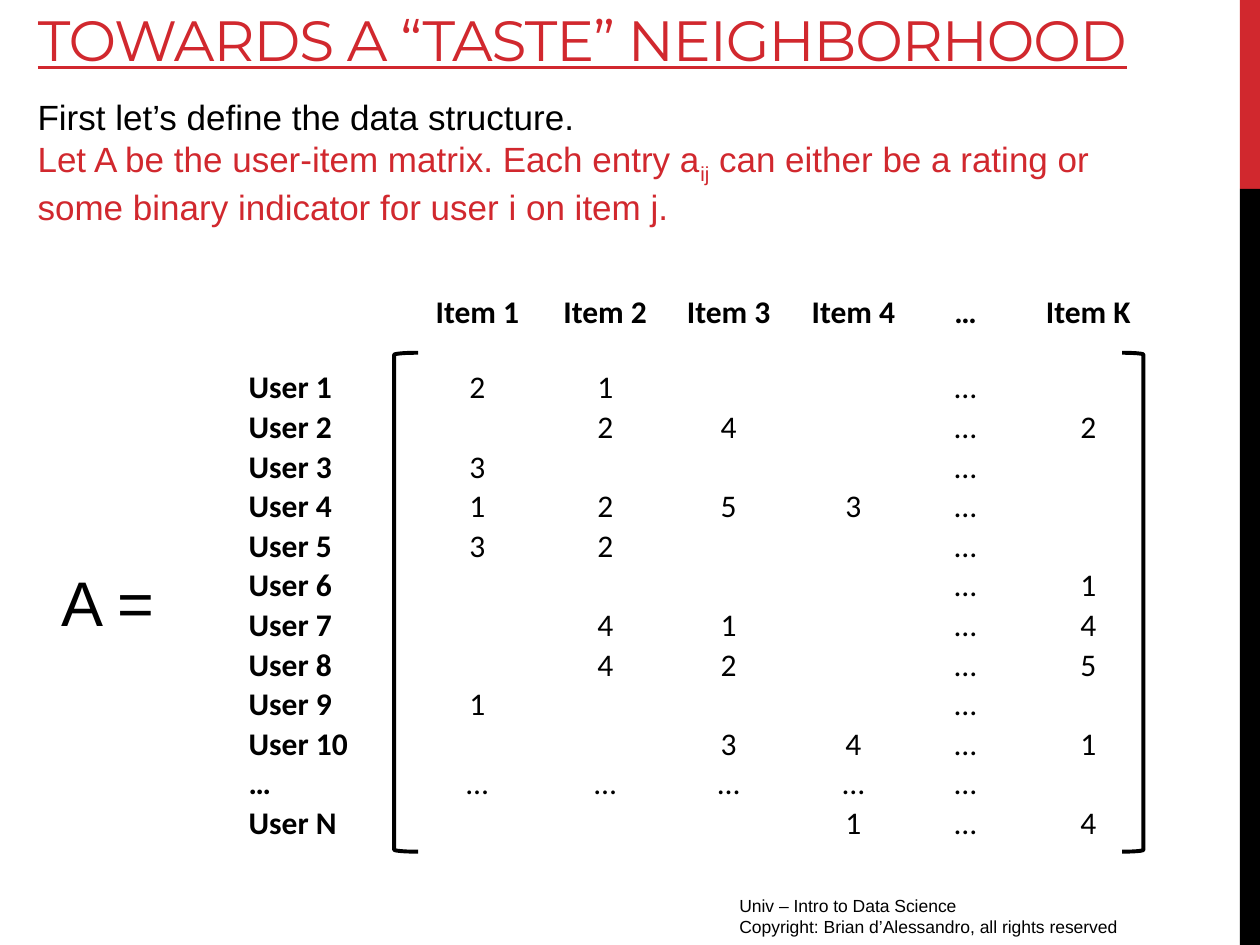
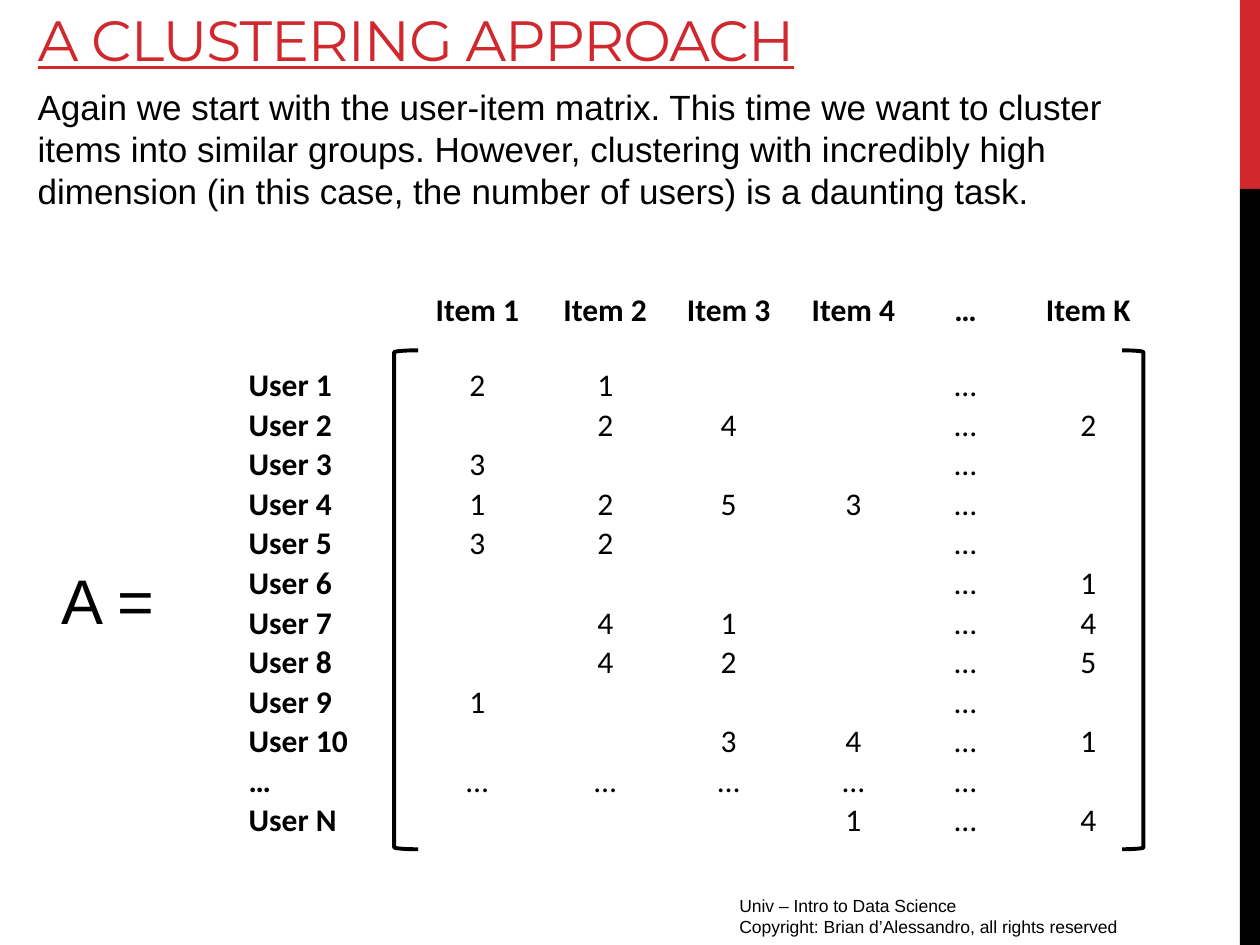
from pptx import Presentation
from pptx.dml.color import RGBColor
from pptx.enum.shapes import MSO_SHAPE
from pptx.enum.text import MSO_ANCHOR, MSO_AUTO_SIZE, PP_ALIGN
from pptx.util import Pt

RECT = MSO_SHAPE.RECTANGLE
LEFT_BRACKET, RIGHT_BRACKET = MSO_SHAPE.LEFT_BRACKET, MSO_SHAPE.RIGHT_BRACKET
TOP, BOTTOM = MSO_ANCHOR.TOP, MSO_ANCHOR.BOTTOM
LEFT, CENTER = PP_ALIGN.LEFT, PP_ALIGN.CENTER
NO_AUTOFIT = MSO_AUTO_SIZE.NONE
TITLE_ONLY = 5

RED, BLACK = "D1282E", "000000"
TITLE_FONT = {"name": "Montserrat", "size": Pt(32.4), "underline": True, "bold": False}
BODY_FONT = {"name": "Arial", "size": Pt(20)}
FOOTER_FONT = {"name": "Arial", "size": Pt(10)}
LABEL_FONT = {"name": "Arial", "size": Pt(36)}
CELL_FONT = {"name": "Calibri", "size": Pt(18)}
CELL_MARGINS = {"margin_left": Pt(0.7), "margin_right": Pt(0.7),
                "margin_top": Pt(0.7), "margin_bottom": 0}

FOOTER = ["Univ – Intro to Data Science",
          "Copyright: Brian d’Alessandro, all rights reserved"]

COLUMN_WIDTHS = [93.6, 75.6, 70.56, 70.56, 72, 56.16, 84.24]
HEADER_HEIGHT, ROW_HEIGHT = 43.2, 22.63
RATINGS = [
    ["", "Item 1", "Item 2", "Item 3", "Item 4", "…", "Item K"],
    ["User 1", "2", "1", "", "", "…", ""],
    ["User 2", "", "2", "4", "", "…", "2"],
    ["User 3", "3", "", "", "", "…", ""],
    ["User 4", "1", "2", "5", "3", "…", ""],
    ["User 5", "3", "2", "", "", "…", ""],
    ["User 6", "", "", "", "", "…", "1"],
    ["User 7", "", "4", "1", "", "…", "4"],
    ["User 8", "", "4", "2", "", "…", "5"],
    ["User 9", "1", "", "", "", "…", ""],
    ["User 10", "", "", "3", "4", "…", "1"],
    ["…", "…", "…", "…", "…", "…", ""],
    ["User N", "", "", "", "1", "…", "4"],
]


def rgb(color):
    return RGBColor.from_string(color)


def set_all(target, values):
    for name, value in values.items():
        setattr(target, name, value)


def box(left, top, width, height):
    return [Pt(v) for v in (left, top, width, height)]


def add_run(p, text, font, color=BLACK):
    r = p.add_run()
    r.text = text
    set_all(r.font, font)
    r.font.color.rgb = rgb(color)
    return r


def add_text(s, place, paragraphs, font):
    """Add a text box; each paragraph is a list of (text, color, baseline)."""
    tf = s.shapes.add_textbox(*box(*place)).text_frame
    tf.word_wrap = True
    for i, runs in enumerate(paragraphs):
        p = tf.paragraphs[0] if i == 0 else tf.add_paragraph()
        for text, color, baseline in runs:
            r = add_run(p, text, font, color)
            if baseline:
                r.font._element.set("baseline", str(baseline * 1000))


def plain(*lines):
    return [[(line, BLACK, 0)] for line in lines]


def add_band(s, top, height, color):
    sp = s.shapes.add_shape(RECT, *box(708.5, top, 11.5, height))
    sp.shadow.inherit = False
    sp.fill.solid()
    sp.fill.fore_color.rgb = rgb(color)
    sp.line.fill.background()


def add_bracket(s, kind, left, top, width):
    sp = s.shapes.add_shape(kind, *box(left, top, width, 285.1))
    sp.shadow.inherit = False
    sp.fill.background()
    sp.line.color.rgb = rgb(BLACK)
    sp.line.width = Pt(2.25)


def set_title(s, text):
    title = s.shapes.title
    title.left, title.top, title.width, title.height = box(14.4, 0, 684, 45.4)
    tf = title.text_frame
    set_all(tf, {"vertical_anchor": BOTTOM, "auto_size": NO_AUTOFIT, "word_wrap": True})
    p = tf.paragraphs[0]
    p.alignment = LEFT
    r = add_run(p, text, TITLE_FONT, RED)
    r.font._element.set("spc", "-60")


def add_ratings_table(s, top):
    height = HEADER_HEIGHT + ROW_HEIGHT * (len(RATINGS) - 1)
    frame = s.shapes.add_table(len(RATINGS), len(COLUMN_WIDTHS),
                               *box(141.4, top, sum(COLUMN_WIDTHS), height))
    table = frame.table
    set_all(table, {"first_row": False, "horz_banding": False})
    for column, width in zip(table.columns, COLUMN_WIDTHS):
        column.width = Pt(width)
    for i, values in enumerate(RATINGS):
        table.rows[i].height = Pt(ROW_HEIGHT if i else HEADER_HEIGHT)
        for j, value in enumerate(values):
            cell = table.cell(i, j)
            cell.fill.background()
            set_all(cell, CELL_MARGINS)
            cell.vertical_anchor = BOTTOM if i else TOP
            if value:
                p = cell.text_frame.paragraphs[0]
                p.alignment = CENTER if j else LEFT
                add_run(p, value, {**CELL_FONT, "bold": i == 0 or j == 0})


def add_matrix(s, top):
    """Add the bracketed user-item matrix with its "A =" label."""
    add_ratings_table(s, top)
    add_bracket(s, LEFT_BRACKET, 225.2, top + 34.6, 13.7)
    add_bracket(s, RIGHT_BRACKET, 641.2, top + 34.6, 12.2)
    add_text(s, (28.1, top + 151.7, 90.7, 51), plain("A ="), LABEL_FONT)


def add_matrix_slide(prs, title, body, body_top, matrix_top):
    s = prs.slides.add_slide(prs.slide_layouts[TITLE_ONLY])
    add_band(s, 0, 108, RED)
    add_band(s, 108, 432, BLACK)
    add_text(s, (415.4, 508, 270, 22.3), plain(*FOOTER), FOOTER_FONT)
    set_title(s, title)
    add_text(s, (14.4, body_top, 643, 80), body, BODY_FONT)
    add_matrix(s, matrix_top)


def main():
    prs = Presentation()
    prs.slide_width, prs.slide_height = Pt(720), Pt(540)
    definition = plain("First let’s define the data structure.") + [[
        ("Let A be the user-item matrix. Each entry a", RED, 0),
        ("ij", RED, -25),
        (" can either be a rating or some binary indicator for user i on item j.", RED, 0),
    ]]
    add_matrix_slide(prs, "TOWARDS A “TASTE” NEIGHBORHOOD", definition, 51.1, 167)
    clustering = plain(
        "Again we start with the user-item matrix. This time we want to cluster "
        "items into similar groups. However, clustering with incredibly high "
        "dimension (in this case, the number of users) is a daunting task.")
    add_matrix_slide(prs, "A CLUSTERING APPROACH", clustering, 45.4, 165.6)
    prs.save("out.pptx")


if __name__ == "__main__":
    main()
